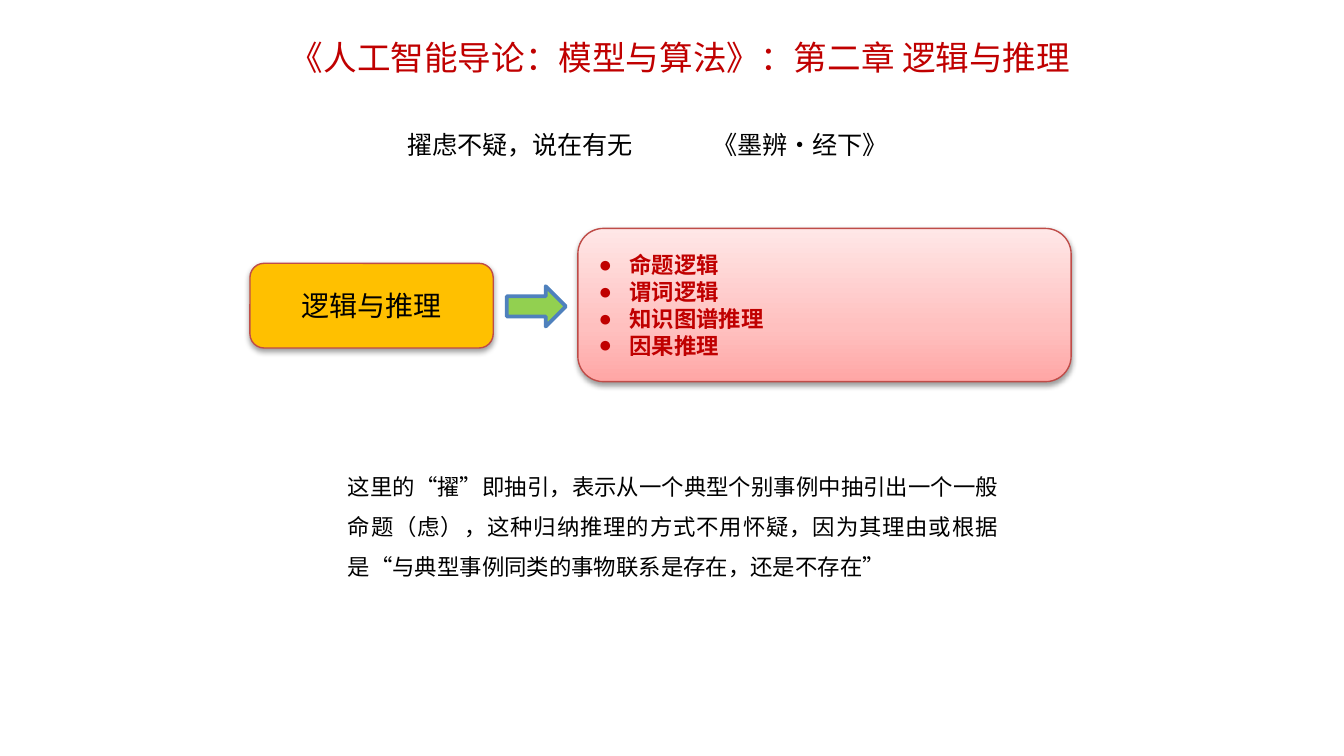
from lxml.etree import SubElement
from pptx import Presentation
from pptx.dml.color import RGBColor
from pptx.enum.shapes import MSO_SHAPE
from pptx.enum.text import MSO_ANCHOR, PP_ALIGN
from pptx.oxml import parse_xml
from pptx.oxml.ns import nsdecls, qn
from pptx.util import Inches, Pt

BLACK = RGBColor(0x00, 0x00, 0x00)
RED = RGBColor(0xC0, 0x00, 0x00)
BORDER = RGBColor(0xBF, 0x4C, 0x48)
AMBER = RGBColor(0xFF, 0xC0, 0x00)
GREEN = RGBColor(0x92, 0xD0, 0x50)
BLUE = RGBColor(0x4F, 0x81, 0xBD)
PINKS = [
    (0, RGBColor(0xFF, 0xA6, 0xA5)),
    (35, RGBColor(0xFF, 0xC0, 0xBF)),
    (100, RGBColor(0xFF, 0xE7, 0xE7)),
]
SANS = "Noto Sans CJK SC"
SERIF = "Times New Roman"


class SlideBuilder:
    def __init__(self, deck):
        self.slide = deck.slides.add_slide(deck.slide_layouts[5])

    def place(self, shape, left, top, width, height):
        shape.left, shape.top = Inches(left), Inches(top)
        shape.width, shape.height = Inches(width), Inches(height)

    def format_span(self, span, size, color, latin, bold=False):
        span.font.size = Pt(size)
        span.font.color.rgb = color
        span.font.name = latin
        span.font.bold = bold
        east_asian = SubElement(span.font._element, qn("a:ea"))
        east_asian.set("typeface", SANS)

    def set_text(self, shape, lines, size, color, latin, align, spacing=1.0, bold=False):
        frame = shape.text_frame
        frame.text = "\n".join(lines)
        frame.word_wrap = True
        for para in frame.paragraphs:
            para.alignment = align
            para.line_spacing = spacing
            for span in para.runs:
                self.format_span(span, size, color, latin, bold)

    def set_margins(self, frame, top, bottom):
        frame.margin_left = frame.margin_right = Inches(0.1)
        frame.margin_top, frame.margin_bottom = Inches(top), Inches(bottom)
        frame.vertical_anchor = MSO_ANCHOR.MIDDLE

    def title(self, text, *bounds):
        title = self.slide.shapes.title
        self.place(title, *bounds)
        self.set_text(title, [text], 18, RED, SERIF, PP_ALIGN.CENTER, 0.9)
        self.set_margins(title.text_frame, 0.16, 0.05)

    def text(self, text, size, align, *bounds):
        box = self.slide.shapes.add_textbox(*map(Inches, bounds))
        self.set_text(box, [text], size, BLACK, SANS, align, 1.5)
        return box

    def tab_stop(self, para, position):
        tabs = SubElement(para._p.get_or_add_pPr(), qn("a:tabLst"))
        SubElement(tabs, qn("a:tab"), pos=str(Inches(position)), algn="l")

    def arrow(self, *bounds):
        arrow = self.slide.shapes.add_shape(MSO_SHAPE.RIGHT_ARROW, *map(Inches, bounds))
        arrow.shadow.inherit = False
        arrow.fill.solid()
        arrow.fill.fore_color.rgb = GREEN
        arrow.line.color.rgb = BLUE
        arrow.line.width = Pt(2)

    def card(self, *bounds):
        card = self.slide.shapes.add_shape(MSO_SHAPE.ROUNDED_RECTANGLE, *map(Inches, bounds))
        card.fill.solid()
        card.fill.fore_color.rgb = AMBER
        card.line.color.rgb = BORDER
        card.line.width = Pt(0.75)
        card.shadow.inherit = False
        effects = card._element.spPr.find(qn("a:effectLst"))
        effects.append(parse_xml(
            f'<a:outerShdw {nsdecls("a")} blurRad="{Pt(3.1)}" dist="{Pt(1.6)}" '
            'dir="5400000" rotWithShape="0"><a:srgbClr val="000000">'
            '<a:alpha val="38000"/></a:srgbClr></a:outerShdw>'
        ))
        self.set_margins(card.text_frame, 0, 0)
        return card

    def topic_card(self, text, *bounds):
        card = self.card(*bounds)
        self.set_text(card, [text], 15, BLACK, SERIF, PP_ALIGN.CENTER)

    def list_card(self, items, *bounds):
        card = self.card(*bounds)
        card.fill.gradient()
        card.fill.gradient_angle = 90
        stops = card._element.spPr.find(qn("a:gradFill")).find(qn("a:gsLst"))
        stops.clear()
        for position, color in PINKS:
            stop = SubElement(stops, qn("a:gs"), pos=str(position * 1000))
            SubElement(stop, qn("a:srgbClr"), val=str(color))
        self.set_text(card, items, 12, RED, SERIF, PP_ALIGN.LEFT, bold=True)
        for para in card.text_frame.paragraphs:
            properties = para._p.get_or_add_pPr()
            properties.set("marL", str(Inches(0.23)))
            properties.set("indent", str(-Inches(0.23)))
            SubElement(properties, qn("a:buFont"), typeface=SERIF)
            SubElement(properties, qn("a:buChar"), char="●")


def main():
    deck = Presentation()
    deck.slide_width = Inches(10)
    deck.slide_height = deck.slide_width * 9 // 16
    builder = SlideBuilder(deck)
    builder.title("《人工智能导论：模型与算法》：第二章 逻辑与推理", 1.63, 0.12, 6.86, 0.54)
    quote = builder.text("擢虑不疑，说在有无\t《墨辨·经下》", 13.5, PP_ALIGN.LEFT, 2.93, 0.8, 4.32, 0.4)
    builder.tab_stop(quote.text_frame.paragraphs[0], 2.27)
    builder.topic_card("逻辑与推理", 1.86, 1.96, 1.81, 0.63)
    builder.arrow(3.77, 2.13, 0.44, 0.3)
    builder.list_card(["命题逻辑", "谓词逻辑", "知识图谱推理", "因果推理"], 4.3, 1.7, 3.67, 1.14)
    builder.text(
        "这里的“擢”即抽引，表示从一个典型个别事例中抽引出一个一般命题（虑），"
        "这种归纳推理的方式不用怀疑，因为其理由或根据是“与典型事例同类的事物联系是存在，还是不存在”",
        12, PP_ALIGN.JUSTIFY, 2.49, 3.37, 5.04, 0.97,
    )
    deck.save("out.pptx")


if __name__ == "__main__":
    main()
